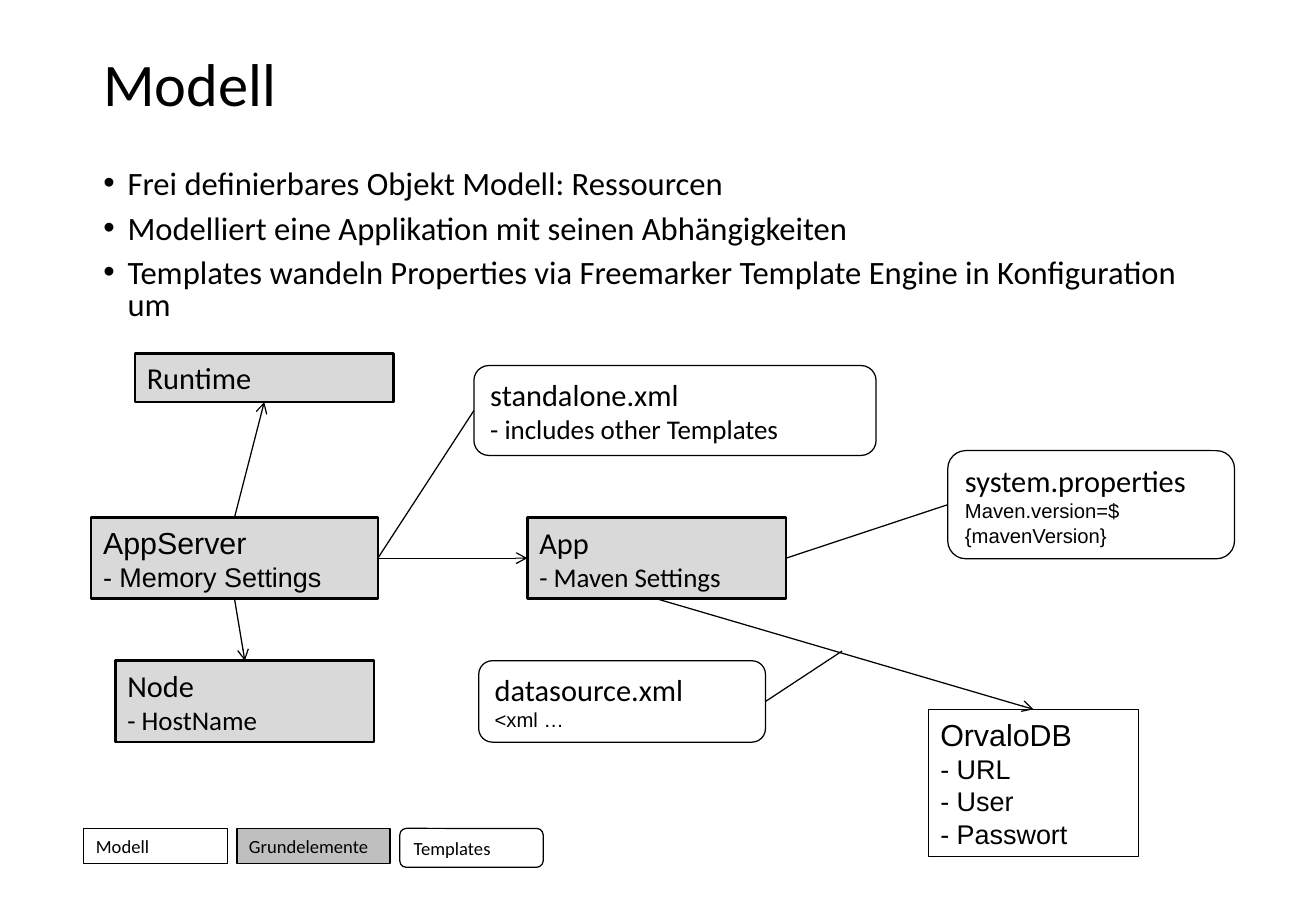
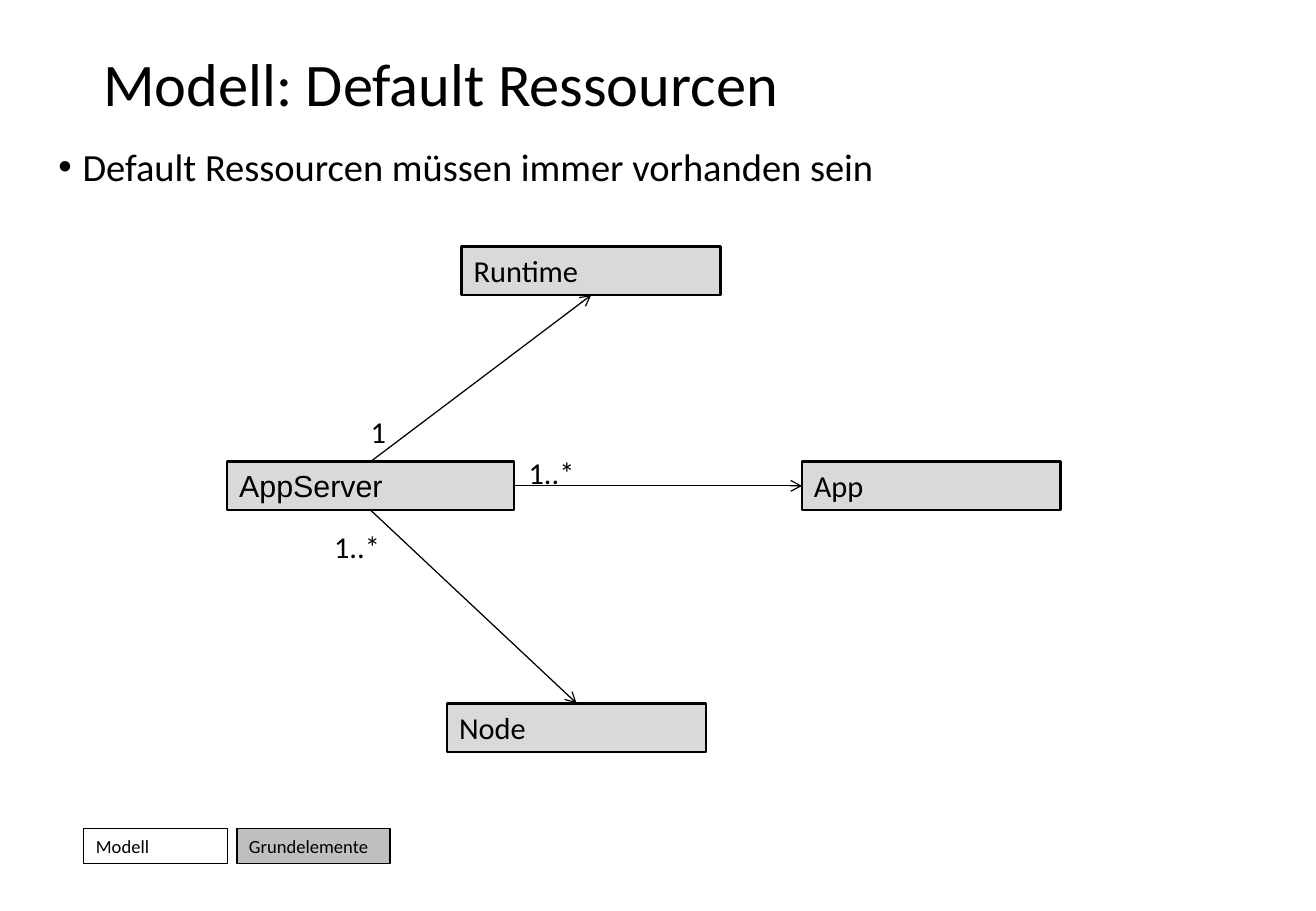
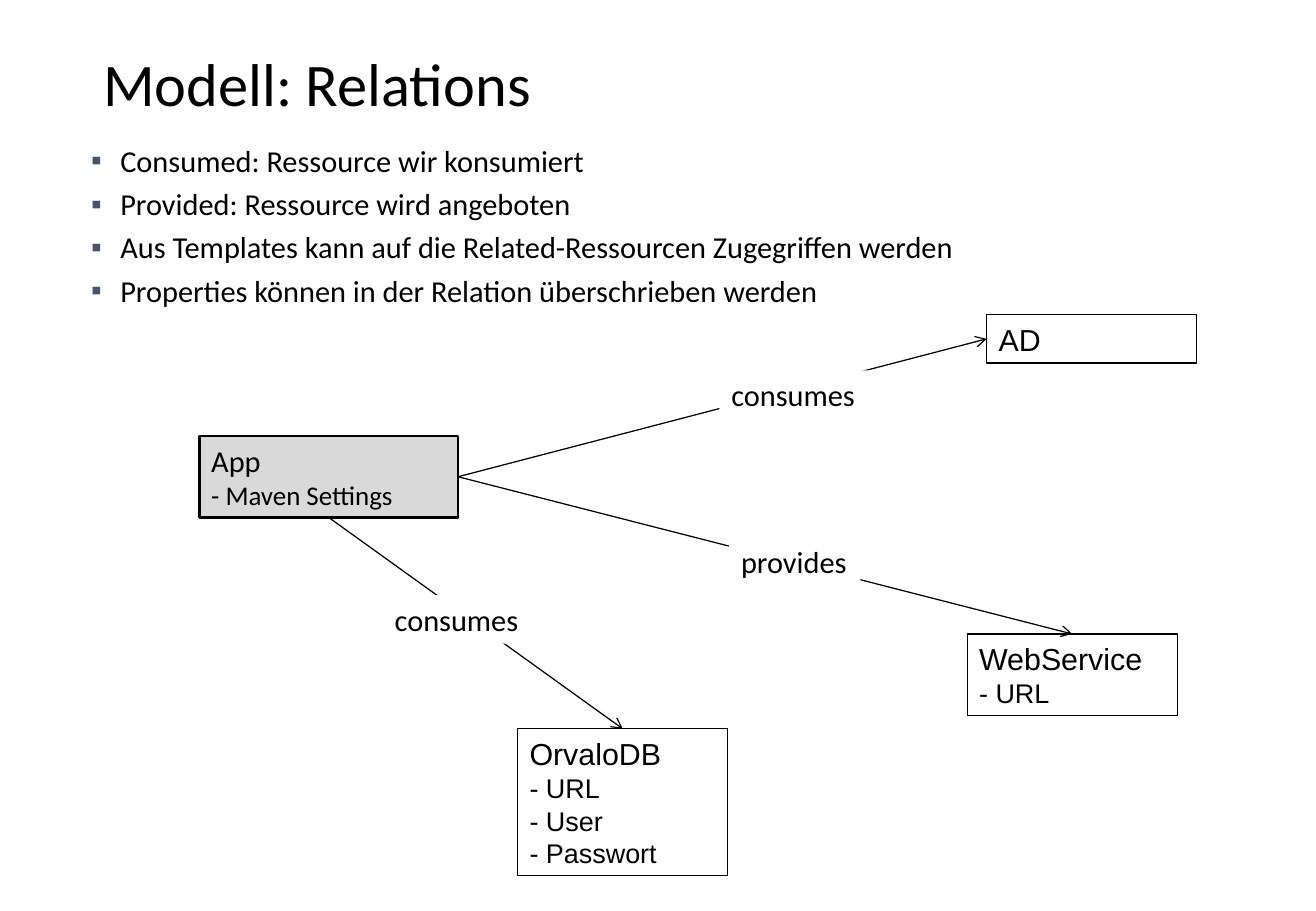
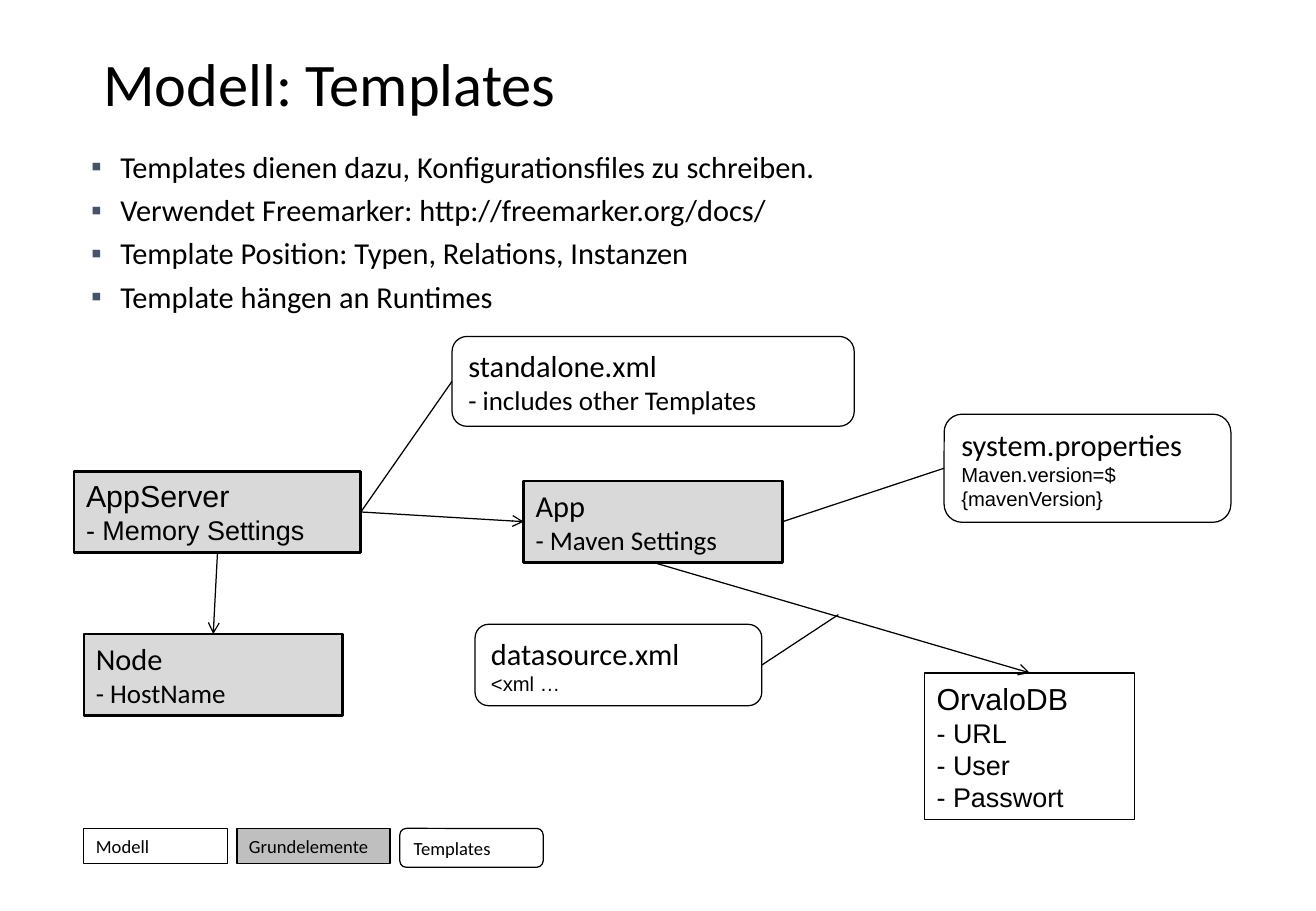
from dataclasses import dataclass

from lxml import etree
from pptx import Presentation
from pptx.dml.color import RGBColor
from pptx.enum.shapes import MSO_CONNECTOR, MSO_SHAPE
from pptx.enum.text import MSO_ANCHOR, MSO_AUTO_SIZE, PP_ALIGN
from pptx.oxml.ns import qn
from pptx.util import Inches, Pt

RECT = MSO_SHAPE.RECTANGLE
ROUND = MSO_SHAPE.ROUNDED_RECTANGLE
STRAIGHT = MSO_CONNECTOR.STRAIGHT
TOP_ANCHOR, MIDDLE = MSO_ANCHOR.TOP, MSO_ANCHOR.MIDDLE
NO_FIT = MSO_AUTO_SIZE.NONE
LEFT_ALIGN = PP_ALIGN.LEFT
TOP, LEFT, BOTTOM, RIGHT = range(4)


@dataclass(frozen=True)
class Theme:
    black: str = "000000"
    white: str = "FFFFFF"
    light: str = "D9D9D9"
    gray: str = "BFBFBF"
    slate: str = "44546A"
    main: str = "Calibri"
    alt: str = "Arial"
    title: float = 35.8
    head: float = 18
    item: float = 16
    code: float = 12
    key: float = 11
    thin: float = 0.75


THEME = Theme()

# Shape, fill and line width of each kind of box
KINDS = {
    "model": (RECT, THEME.white, THEME.thin),
    "core": (RECT, THEME.light, 1.5),
    "file": (ROUND, THEME.white, THEME.thin),
    "key": (RECT, THEME.gray, 1),
    "label": (RECT, THEME.white, None),
}

# List looks: mark, its colour, indent, paragraph format, frame insets
DOTS = ("•", THEME.black, 0.2,
        {"line_spacing": 0.9, "space_before": Pt(8.1), "space_after": Pt(0)},
        {})
TIGHT = (*DOTS[:3], {**DOTS[3], "line_spacing": 0.8}, {})
SQUARES = ("▪", THEME.slate, 0.24,
           {"line_spacing": 1.0, "space_before": Pt(0), "space_after": Pt(4)},
           {"margin_" + side: 0 for side in ("left", "top", "right", "bottom")})

APP = ["App", "- Maven Settings"]
DATABASE = ["OrvaloDB", "- URL", "- User", "- Passwort"]
LEGEND = [
    ("Modell", "model", 0.69, 1.18, 0.29),
    ("Grundelemente", "key", 1.95, 1.26, 0.29),
    ("Templates", "file", 3.29, 1.18, 0.32),
]


def apply(target, values):
    for name, value in values.items():
        setattr(target, name, value)


class Deck:
    def __init__(self, theme):
        self.theme = theme
        self.show = Presentation()
        apply(self.show, {"slide_width": Inches(10.83),
                          "slide_height": Inches(7.5)})
        self.slide = None

    def put(self, para, text, size, font=None):
        """Add a run of text to a paragraph."""
        run = para.add_run()
        run.text = text
        apply(run.font, {"name": font or self.theme.main, "size": Pt(size)})
        run.font.color.rgb = RGBColor.from_string(self.theme.black)

    def place(self, shape, x, y, w, h):
        apply(shape, {"left": Inches(x), "top": Inches(y),
                      "width": Inches(w), "height": Inches(h)})

    def start(self, title):
        """Add a slide with its title."""
        self.slide = self.show.slides.add_slide(self.show.slide_layouts[1])
        shape = self.slide.shapes.title
        self.place(shape, 0.75, 0.4, 9.34, 0.99)
        frame = shape.text_frame
        apply(frame, {"vertical_anchor": TOP_ANCHOR, "auto_size": NO_FIT})
        para = frame.paragraphs[0]
        apply(para, {"alignment": LEFT_ALIGN, "line_spacing": 0.9})
        self.put(para, title, self.theme.title)

    def points(self, spot, look, size, items):
        """Fill the body placeholder with a bulleted list."""
        mark, color, indent, spacing, insets = look
        shape = self.slide.placeholders[1]
        self.place(shape, *spot)
        frame = shape.text_frame
        apply(frame, {"vertical_anchor": TOP_ANCHOR, "auto_size": NO_FIT,
                      **insets})
        for i, item in enumerate(items):
            para = frame.add_paragraph() if i else frame.paragraphs[0]
            apply(para, spacing)
            self.put(para, item, size)
            props = para._p.get_or_add_pPr()
            props.set("marL", str(Inches(indent)))
            props.set("indent", str(-Inches(indent)))
            tint = etree.SubElement(props, qn("a:buClr"))
            etree.SubElement(tint, qn("a:srgbClr"), val=color)
            etree.SubElement(props, qn("a:buFont"), typeface=self.theme.alt)
            etree.SubElement(props, qn("a:buChar"), char=mark)

    def box(self, kind, lines, x, y, w, h=None, head=None, item=None,
            font=None, sub=None):
        """Draw a box; without h its height follows the line count."""
        form, fill, width = KINDS[kind]
        h = h or 0.13 + 0.27 * len(lines)
        shape = self.slide.shapes.add_shape(
            form, Inches(x), Inches(y), Inches(w), Inches(h))
        shape.shadow.inherit = False
        shape.fill.solid()
        shape.fill.fore_color.rgb = RGBColor.from_string(fill)
        if width is None:
            shape.line.fill.background()
        else:
            shape.line.color.rgb = RGBColor.from_string(self.theme.black)
            shape.line.width = Pt(width)
        frame = shape.text_frame
        apply(frame, {"vertical_anchor": MIDDLE, "word_wrap": kind != "label"})
        for i, line in enumerate(lines):
            para = frame.add_paragraph() if i else frame.paragraphs[0]
            para.alignment = LEFT_ALIGN
            if i:
                self.put(para, line, item or self.theme.item, sub or font)
            else:
                self.put(para, line, head or self.theme.head, font)
        return shape

    def core(self, lines, x, y, w=2.13, font=None):
        return self.box("core", lines, x, y, w, font=font)

    def server(self, lines, x, y):
        return self.core(lines, x, y, 2.36, self.theme.alt)

    def model(self, lines, x, y):
        return self.box("model", lines, x, y, 1.73, font=self.theme.alt)

    def sample(self, lines, x, y, h):
        """Draw a template file with a line of its code."""
        return self.box("file", lines, x, y, 2.36, h,
                        item=self.theme.code, sub=self.theme.alt)

    def note(self, text, x, y):
        shape = self.slide.shapes.add_textbox(
            Inches(x), Inches(y), Inches(0.5), Inches(0.4))
        frame = shape.text_frame
        apply(frame, {**SQUARES[4], "word_wrap": False})
        self.put(frame.paragraphs[0], text, self.theme.head)

    def link(self, first, side, last, end=None, arrow=True):
        """Join two boxes, or a box and a point when end is None."""
        goal = (0, 0) if end is not None else map(Inches, last)
        line = self.slide.shapes.add_connector(STRAIGHT, 0, 0, *goal)
        line.begin_connect(first, side)
        if end is not None:
            line.end_connect(last, end)
        line.line.color.rgb = RGBColor.from_string(self.theme.black)
        line.line.width = Pt(self.theme.thin)
        props = line._element.spPr
        if arrow:
            etree.SubElement(props.find(qn("a:ln")), qn("a:tailEnd"),
                             type="arrow")
        etree.SubElement(props, qn("a:effectLst"))

    def legend(self, count):
        for text, kind, x, w, h in LEGEND[:count]:
            self.box(kind, [text], x, 6.82, w, h, head=self.theme.key)

    def system(self, host, node, base, app):
        """Draw the server with its node, app, files and database."""
        x, y = app
        node = self.core(["Node", "- HostName"], *node)
        host = self.server(["AppServer", "- Memory Settings"], *host)
        app = self.core(APP, x, y)
        base = self.box("file", ["standalone.xml", "- includes other Templates"],
                        *base, 3.31, 0.74)
        store = self.model(DATABASE, x + 3.3, y + 1.58)
        props = self.sample(["system.properties", "Maven.version=${mavenVersion}"],
                            x + 3.46, y - 0.55, 0.89)
        data = self.sample(["datasource.xml", "<xml …"], x - 0.4, y + 1.18, 0.67)
        self.link(host, RIGHT, app, LEFT)
        self.link(host, BOTTOM, node, TOP)
        self.link(host, RIGHT, base, LEFT, arrow=False)
        self.link(app, BOTTOM, store, TOP)
        self.link(app, RIGHT, props, LEFT, arrow=False)
        self.link(data, RIGHT, (x + 2.59, y + 1.1), arrow=False)
        self.legend(3)
        return host


def overview(deck):
    deck.start("Modell")
    deck.points((0.75, 1.35, 9.34, 1.17), TIGHT, 19.3, [
        "Frei definierbares Objekt Modell: Ressourcen",
        "Modelliert eine Applikation mit seinen Abhängigkeiten",
        "Templates wandeln Properties via Freemarker Template Engine in "
        "Konfiguration um",
    ])
    host = deck.system((0.75, 4.26), (0.95, 5.44), (3.9, 3.01), (4.34, 4.26))
    runtime = deck.core(["Runtime"], 1.11, 2.91)
    deck.link(host, TOP, runtime, BOTTOM)


def defaults(deck):
    deck.start("Modell: Default Ressourcen")
    deck.points((0.38, 1.17, 10, 1.83), DOTS, 22.8,
                ["Default Ressourcen müssen immer vorhanden sein"])
    deck.legend(2)
    host = deck.server(["AppServer"], 1.87, 3.8)
    for name, x, y, side, end in [
        ("Node", 3.68, 5.79, BOTTOM, TOP),
        ("App", 6.6, 3.8, RIGHT, LEFT),
        ("Runtime", 3.8, 2.03, TOP, BOTTOM),
    ]:
        deck.link(host, side, deck.core([name], x, y), end)
    for text, x, y in [("1..*", 4.35, 3.74), ("1", 3.05, 3.4),
                       ("1..*", 2.75, 4.35)]:
        deck.note(text, x, y)


def relations(deck):
    deck.start("Modell: Relations")
    deck.points((0.75, 1.17, 9.43, 1.62), SQUARES, THEME.head, [
        "Consumed: Ressource wir konsumiert",
        "Provided: Ressource wird angeboten",
        "Aus Templates kann auf die Related-Ressourcen Zugegriffen werden",
        "Properties können in der Relation überschrieben werden",
    ])
    app = deck.core(APP, 1.64, 3.59)
    for lines, x, y, side, end in [
        (DATABASE, 4.26, 6, BOTTOM, TOP),
        (["WebService", "- URL"], 7.96, 5.22, RIGHT, TOP),
        (["AD"], 8.12, 2.59, RIGHT, LEFT),
    ]:
        deck.link(app, side, deck.model(lines, x, y), end)
    for text, x, y, w in [("provides", 6, 4.42, 1.08),
                          ("consumes", 3.15, 4.9, 1.23),
                          ("consumes", 5.92, 3.05, 1.23)]:
        deck.box("label", [text], x, y, w)


def templates(deck):
    deck.start("Modell: Templates")
    deck.points((0.75, 1.22, 9.76, 1.5), SQUARES, THEME.head, [
        "Templates dienen dazu, Konfigurationsfiles zu schreiben.",
        "Verwendet Freemarker: http://freemarker.org/docs/",
        "Template Position: Typen, Relations, Instanzen",
        "Template hängen an Runtimes",
    ])
    deck.system((0.61, 3.88), (0.69, 5.22), (3.72, 2.77), (4.31, 3.96))


def main():
    deck = Deck(THEME)
    for build in (overview, defaults, relations, templates):
        build(deck)
    deck.show.save("out.pptx")


if __name__ == "__main__":
    main()
